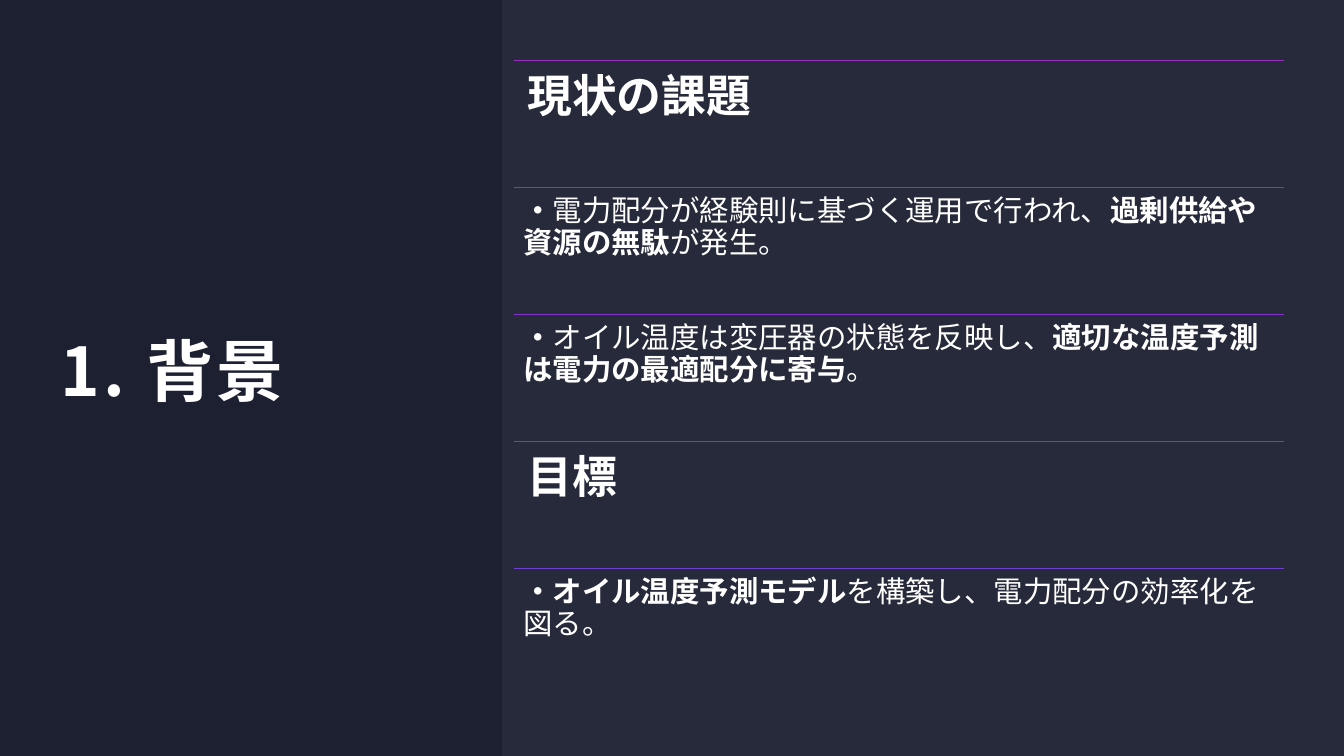
from dataclasses import dataclass

from lxml import etree
from pptx import Presentation
from pptx.dml.color import RGBColor
from pptx.enum.shapes import MSO_CONNECTOR, MSO_SHAPE
from pptx.enum.text import MSO_ANCHOR
from pptx.oxml.ns import qn
from pptx.slide import Slide
from pptx.util import Emu, Pt

RECTANGLE = MSO_SHAPE.RECTANGLE
STRAIGHT = MSO_CONNECTOR.STRAIGHT
TOP, MIDDLE = MSO_ANCHOR.TOP, MSO_ANCHOR.MIDDLE
EMU_PER_PX = 9144
SLIDE_W, SLIDE_H = 1333, 750
PANEL_LEFT = 498
ROW_LEFT, ROW_TOP, ROW_W, ROW_H = 510, 60, 763, 126


@dataclass(frozen=True)
class Theme:
    """Colours, font and type sizes of the slide."""
    background: str = "1C2031"
    panel: str = "E3E6EF"
    panel_opacity: int = 5
    text: str = "FFFFFF"
    font: str = "Noto Sans CJK JP"
    title_size: int = 48
    heading_size: int = 32
    body_size: int = 21
    title_tracking: int = 220
    rule_width: int = 1


@dataclass(frozen=True)
class Phrase:
    """A stretch of text of one weight."""
    text: str
    bold: bool = True


@dataclass(frozen=True)
class Row:
    """A ruled row of the right panel."""
    rule_colour: str
    phrases: tuple[Phrase, ...]
    size: int
    inset: int


@dataclass(frozen=True)
class Box:
    """A rectangle in px."""
    left: int
    top: int
    width: int
    height: int

    def emu(self) -> tuple[Emu, Emu, Emu, Emu]:
        """Return the left, top, width and height in EMU."""
        return px(self.left), px(self.top), px(self.width), px(self.height)


THEME = Theme()


def heading(rule_colour: str, text: str) -> Row:
    """Describe a heading row."""
    return Row(rule_colour, (Phrase(text),), THEME.heading_size, 13)


def point(rule_colour: str, *phrases: Phrase) -> Row:
    """Describe a body row."""
    return Row(rule_colour, phrases, THEME.body_size, 9)


ROWS = (
    heading("9A2EBE", "現状の課題"),
    point("9030C5", Phrase("・"), Phrase("電力配分が経験則に基づく運用で行われ、", False),
          Phrase("過剰供給や資源の無駄"), Phrase("が発生。", False)),
    point("8532CC", Phrase("・"), Phrase("オイル温度は変圧器の状態を反映し、", False),
          Phrase("適切な温度予測は電力の最適配分に寄与"), Phrase("。", False)),
    heading("7939CE", "目標"),
    point("6F40D0", Phrase("・オイル温度予測モデル"),
          Phrase("を構築し、電力配分の効率化を図る。", False)),
)


def px(length: int) -> Emu:
    """Turn px into EMU."""
    return Emu(length * EMU_PER_PX)


def add_panel(slide: Slide, box: Box, colour: str, opacity: int = 100) -> None:
    """Draw a borderless filled rectangle."""
    panel = slide.shapes.add_shape(RECTANGLE, *box.emu())
    panel.shadow.inherit = False
    panel.line.fill.background()
    panel.fill.solid()
    panel.fill.fore_color.rgb = RGBColor.from_string(colour)
    if opacity < 100:
        tint = panel.fill._xPr.find(qn("a:solidFill"))[0]
        etree.SubElement(tint, qn("a:alpha"), val=str(opacity * 1000))


def add_text(slide: Slide, box: Box, phrases: tuple[Phrase, ...], size: int, inset: int,
             line_spacing: float, anchor: MSO_ANCHOR = TOP, tracking: int = 0) -> None:
    """Write one paragraph of phrases in a text box."""
    frame = slide.shapes.add_textbox(*box.emu()).text_frame
    frame.word_wrap = True
    frame.vertical_anchor = anchor
    frame.margin_left = frame.margin_right = px(inset)
    frame.margin_top = frame.margin_bottom = px(inset)
    paragraph = frame.paragraphs[0]
    paragraph.line_spacing = line_spacing
    font = paragraph.font
    font.size = Pt(size)
    font.name = THEME.font
    font.color.rgb = RGBColor.from_string(THEME.text)
    etree.SubElement(font._element, qn("a:ea"), typeface=THEME.font)
    if tracking:
        font._element.set("spc", str(tracking))
    for phrase in phrases:
        run = paragraph.add_run()
        run.text = phrase.text
        run.font.bold = phrase.bold


def add_rule(slide: Slide, top: int, colour: str) -> None:
    """Draw the line above a row."""
    rule = slide.shapes.add_connector(
        STRAIGHT, px(ROW_LEFT), px(top), px(ROW_LEFT + ROW_W), px(top))
    rule.line.color.rgb = RGBColor.from_string(colour)
    rule.line.width = Pt(THEME.rule_width)
    etree.SubElement(rule._element.spPr, qn("a:effectLst"))


def main() -> None:
    """Build and save the slide."""
    deck = Presentation()
    deck.slide_width, deck.slide_height = px(SLIDE_W), px(SLIDE_H)
    slide = deck.slides.add_slide(deck.slide_layouts[6])
    slide.background.fill.solid()
    slide.background.fill.fore_color.rgb = RGBColor.from_string(THEME.background)

    add_panel(slide, Box(0, 0, SLIDE_W, SLIDE_H), THEME.background)
    add_text(slide, Box(60, 60, 390, 606), (Phrase("1. 背景"),), THEME.title_size, 0, 1.1,
             MIDDLE, THEME.title_tracking)
    add_panel(slide, Box(PANEL_LEFT, 0, SLIDE_W - PANEL_LEFT, SLIDE_H), THEME.panel,
              THEME.panel_opacity)
    for index, row in enumerate(ROWS):
        top = ROW_TOP + index * ROW_H
        add_rule(slide, top, row.rule_colour)
        add_text(slide, Box(ROW_LEFT, top, ROW_W, ROW_H), row.phrases, row.size, row.inset, 0.9)
    deck.save("out.pptx")


if __name__ == "__main__":
    main()
